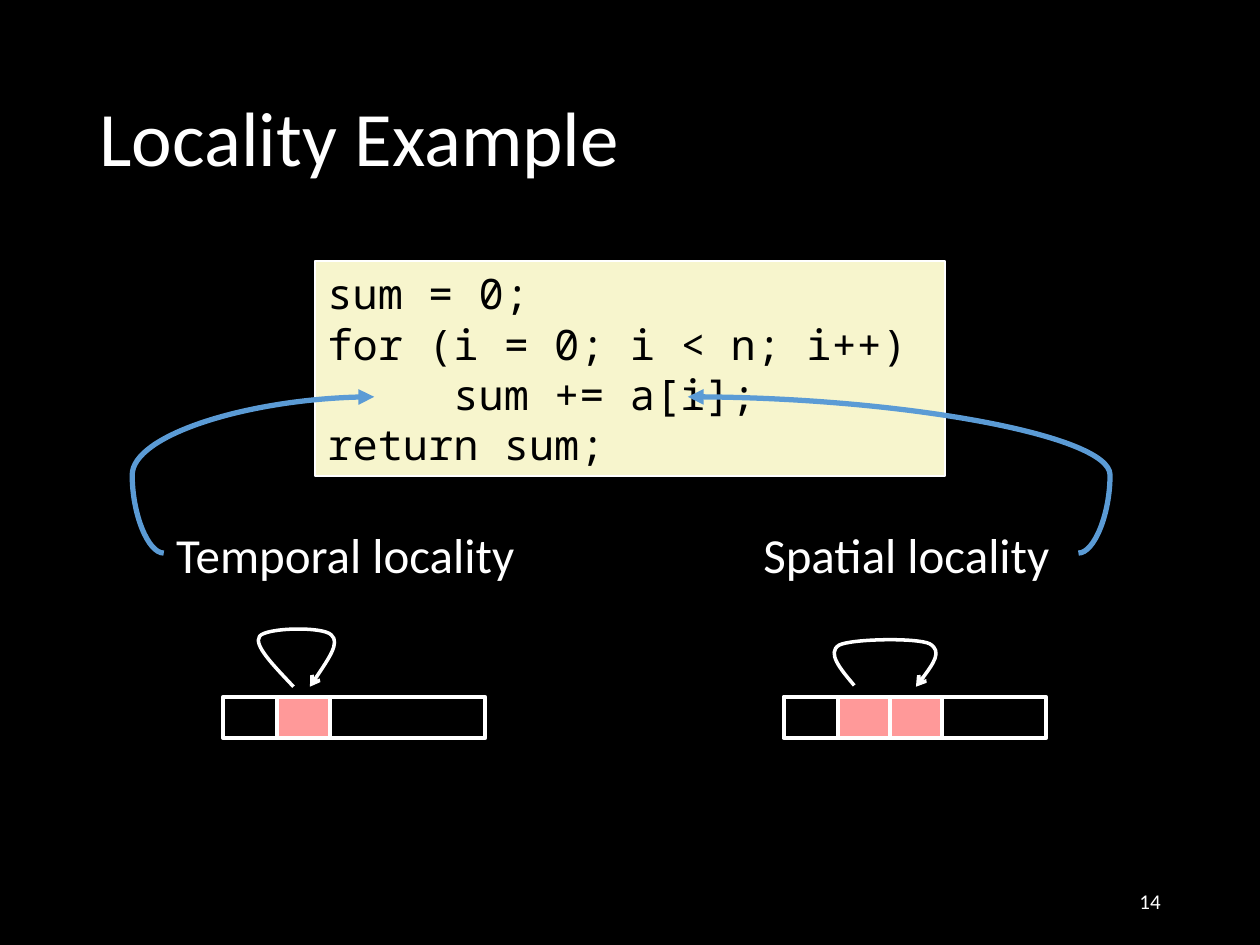
from dataclasses import dataclass

from lxml.etree import SubElement
from pptx import Presentation
from pptx.dml.color import RGBColor
from pptx.enum.shapes import MSO_CONNECTOR as Connector, MSO_SHAPE as Shape
from pptx.enum.text import MSO_ANCHOR as Anchor, MSO_AUTO_SIZE as AutoSize, PP_ALIGN as Align
from pptx.oxml.ns import qn
from pptx.util import Inches, Pt

Point = tuple[float, float]


@dataclass(frozen=True)
class Theme:
    background: RGBColor = RGBColor(0x00, 0x00, 0x00)
    foreground: RGBColor = RGBColor(0xFF, 0xFF, 0xFF)
    code_fill: RGBColor = RGBColor(0xF7, 0xF5, 0xCD)
    accessed: RGBColor = RGBColor(0xFF, 0x99, 0x99)
    pointer: RGBColor = RGBColor(0x5B, 0x9B, 0xD5)
    text_font: str = "Calibri"
    code_font: str = "Noto Sans Mono"
    title_size: int = 44
    label_size: int = 28
    code_size: int = 24
    number_size: int = 12


@dataclass(frozen=True)
class Locality:
    """One kind of locality: its label, memory strip and access loop."""
    label: str
    label_left: float
    label_width: float
    strip_left: float
    accessed_cells: tuple[float, ...]
    loop: tuple[Point, ...]
    pointer_start: Point
    pointer_end: Point
    bulge: int


THEME = Theme()
STRIP_TOP, STRIP_WIDTH, CELL_WIDTH, CELL_HEIGHT = 5.53, 2.08, 0.42, 0.33
CODE = ("sum = 0;", "for (i = 0; i < n; i++)", "\tsum += a[i];", "return sum;")
LOCALITIES = (
    Locality("Temporal locality", 1.3, 3.01, 1.77, (2.2,),
             ((2.33, 5.45), (2.17, 5.28), (2.01, 5.12), (2.06, 5.05), (2.11, 4.98),
              (2.57, 4.97), (2.63, 5.04), (2.7, 5.1), (2.58, 5.27), (2.46, 5.45)),
             (1.3, 4.39), (2.97, 3.15), -15000),
    Locality("Spatial locality", 5.96, 2.6, 6.22, (6.65, 7.06),
             ((6.78, 5.44), (6.67, 5.31), (6.56, 5.18), (6.66, 5.12), (6.76, 5.07),
              (7.28, 5.06), (7.38, 5.11), (7.48, 5.17), (7.38, 5.31), (7.27, 5.45)),
             (8.56, 4.39), (5.46, 3.15), -8100),
)


def style_paragraph(paragraph, size: int, font: str = THEME.text_font,
                    color: RGBColor = THEME.foreground, align=Align.LEFT) -> None:
    paragraph.alignment = align
    paragraph.font.size = Pt(size)
    paragraph.font.name = font
    paragraph.font.color.rgb = color


def style_line(line, color: RGBColor, width: float, arrowhead: str = "") -> None:
    line.color.rgb = color
    line.width = Pt(width)
    if arrowhead:
        SubElement(line._get_or_add_ln(), qn("a:tailEnd"), type=arrowhead)


def add_box(slide, left: float, top: float, width: float, height: float,
            fill: RGBColor, line_width: float = 2.25):
    box = slide.shapes.add_shape(Shape.RECTANGLE, Inches(left), Inches(top),
                                 Inches(width), Inches(height))
    box.shadow.inherit = False
    box.fill.solid()
    box.fill.fore_color.rgb = fill
    style_line(box.line, THEME.foreground, line_width)
    return box


def add_title(slide, text: str) -> None:
    title = slide.shapes.title
    title.left, title.top = Inches(0.69), Inches(0.4)
    title.width, title.height = Inches(8.62), Inches(1.45)
    title.text_frame.text = text
    title.text_frame.vertical_anchor = Anchor.MIDDLE
    paragraph = title.text_frame.paragraphs[0]
    paragraph.line_spacing = 0.9
    style_paragraph(paragraph, THEME.title_size)


def add_label(slide, text: str, left: float, width: float) -> None:
    label = slide.shapes.add_textbox(Inches(left), Inches(4.11), Inches(width), Inches(0.57))
    frame = label.text_frame
    frame.text = text
    frame.word_wrap = False
    frame.auto_size = AutoSize.SHAPE_TO_FIT_TEXT
    style_paragraph(frame.paragraphs[0], THEME.label_size)


def add_slide_number(slide, number: str) -> None:
    box = slide.shapes.add_textbox(Inches(7.06), Inches(6.95), Inches(2.25), Inches(0.4))
    frame = box.text_frame
    frame.text = number
    frame.word_wrap = True
    frame.vertical_anchor = Anchor.MIDDLE
    style_paragraph(frame.paragraphs[0], THEME.number_size, align=Align.RIGHT)


def add_code(slide, lines: tuple[str, ...]) -> None:
    frame = add_box(slide, 2.5, 2.07, 5, 1.71, THEME.code_fill, 1).text_frame
    frame.word_wrap = True
    frame.auto_size = AutoSize.SHAPE_TO_FIT_TEXT
    frame.text = "\n".join(lines)
    for paragraph in frame.paragraphs:
        style_paragraph(paragraph, THEME.code_size, THEME.code_font, THEME.background)
        properties = paragraph._p.get_or_add_pPr()
        properties.set("defTabSz", str(Inches(1)))
        tabs = properties.makeelement(qn("a:tabLst"), {})
        SubElement(tabs, qn("a:tab"), pos=str(Inches(1)), algn="l")
        properties.insert_element_before(tabs, "a:defRPr", "a:extLst")


def add_loop(slide, points: tuple[Point, ...]) -> None:
    """Draw an open curve: a start point, then three Bezier points per segment."""
    start, *others = [(Inches(x), Inches(y)) for x, y in points]
    builder = slide.shapes.build_freeform(*start)
    builder.add_line_segments(others, close=False)
    loop = builder.convert_to_shape()
    loop.shadow.inherit = False
    loop.fill.background()
    style_line(loop.line, THEME.foreground, 2, "arrow")
    outline = next(loop._element.iter(qn("a:path")))
    segments = outline.findall(qn("a:lnTo"))
    for first in range(0, len(segments), 3):
        curve = SubElement(outline, qn("a:cubicBezTo"))
        for segment in segments[first:first + 3]:
            curve.append(segment[0])
            outline.remove(segment)


def add_pointer(slide, start: Point, end: Point, bulge: int) -> None:
    """Draw a curved arrow whose bend lies outside its start by the bulge."""
    pointer = slide.shapes.add_connector(Connector.CURVE, *map(Inches, start + end))
    style_line(pointer.line, THEME.pointer, 3, "triangle")
    properties = pointer._element.spPr
    SubElement(properties, qn("a:effectLst"))
    adjustments = next(properties.iter(qn("a:avLst")))
    SubElement(adjustments, qn("a:gd"), name="adj1", fmla=f"val {bulge}")


def add_locality(slide, locality: Locality) -> None:
    add_box(slide, locality.strip_left, STRIP_TOP, STRIP_WIDTH, CELL_HEIGHT, THEME.background)
    for left in locality.accessed_cells:
        add_box(slide, left, STRIP_TOP, CELL_WIDTH, CELL_HEIGHT, THEME.accessed)
    add_loop(slide, locality.loop)
    add_label(slide, locality.label, locality.label_left, locality.label_width)


def main() -> None:
    presentation = Presentation()
    presentation.slide_width, presentation.slide_height = Inches(10), Inches(7.5)
    slide = presentation.slides.add_slide(presentation.slide_layouts[5])
    slide.background.fill.solid()
    slide.background.fill.fore_color.rgb = THEME.background
    add_title(slide, "Locality Example")
    add_slide_number(slide, "14")
    for locality in LOCALITIES:
        add_locality(slide, locality)
    add_code(slide, CODE)
    for locality in LOCALITIES:
        add_pointer(slide, locality.pointer_start, locality.pointer_end, locality.bulge)
    presentation.save("out.pptx")


if __name__ == "__main__":
    main()
